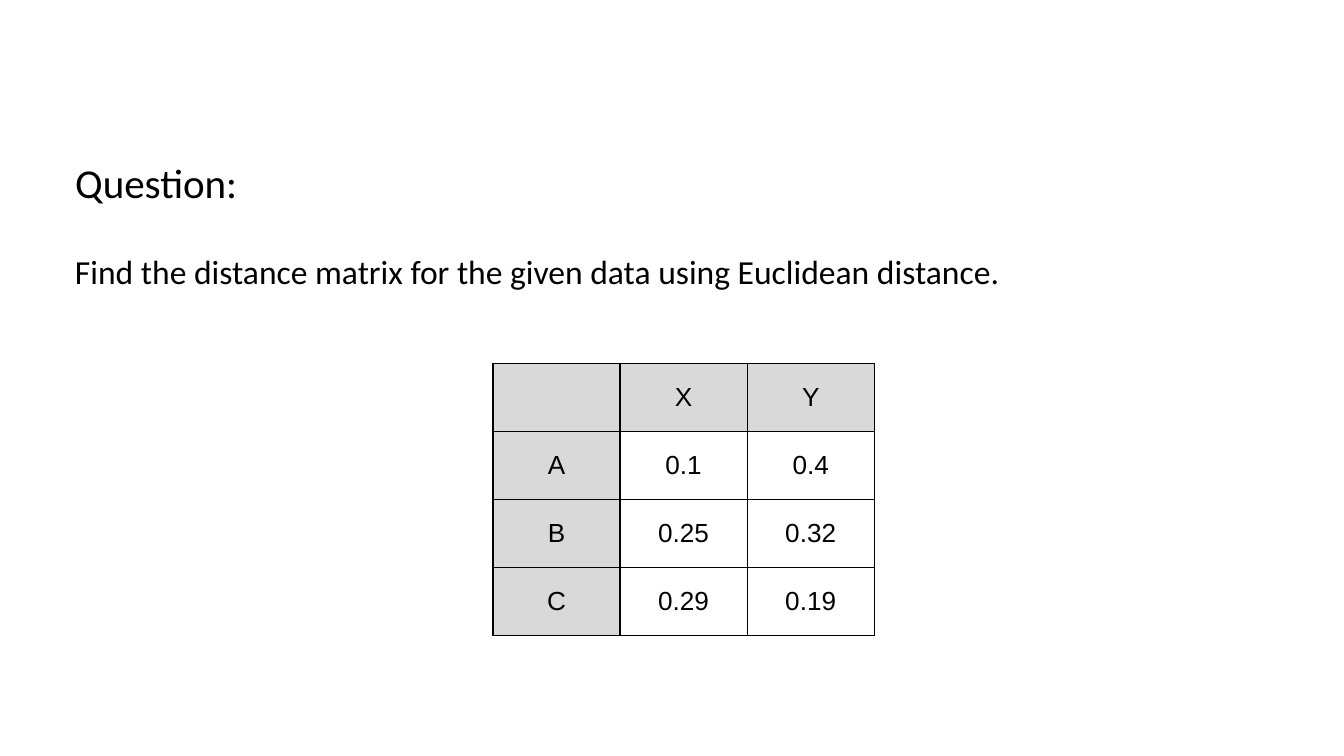
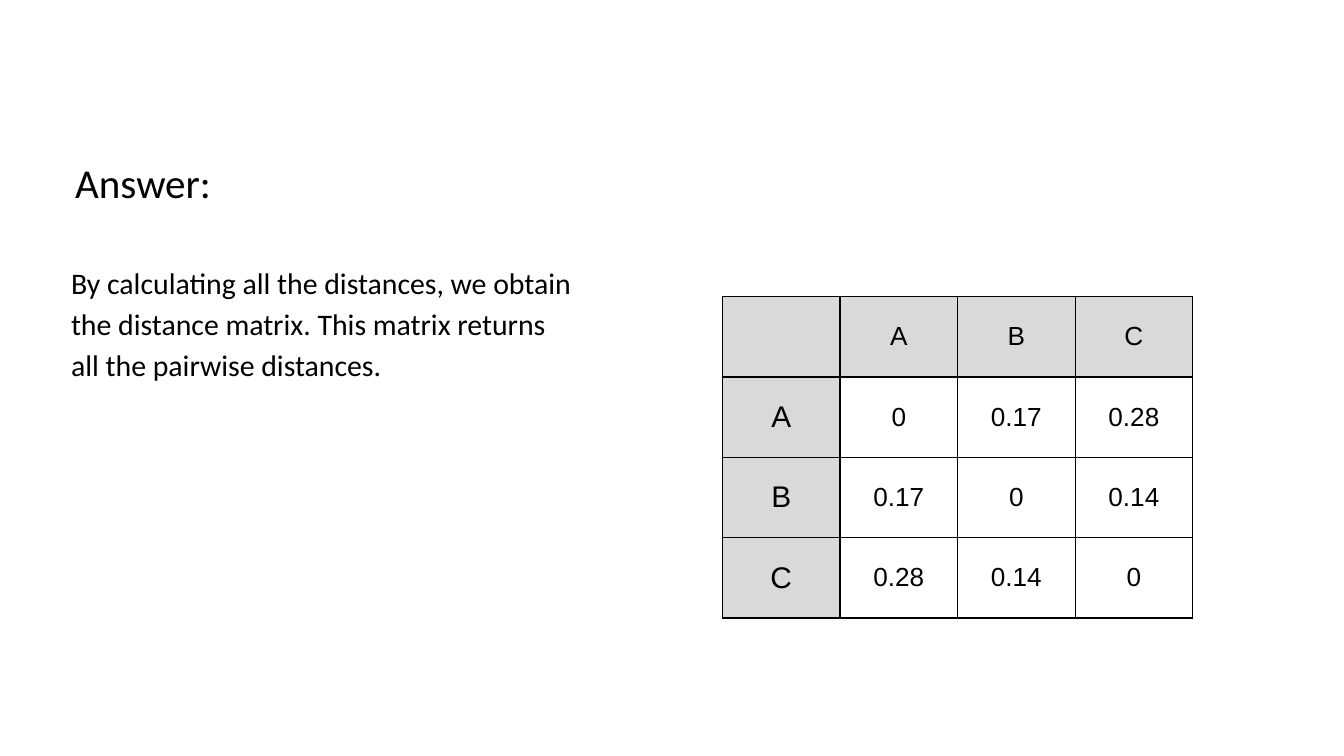
from dataclasses import dataclass

from lxml import etree
from pptx import Presentation
from pptx import util as u
from pptx.dml.color import RGBColor
from pptx.enum import text
from pptx.oxml.ns import qn

INK = {"text": "000000", "head": "D9D9D9", "line": "000000", "page": "FFFFFF"}
INSET = u.Pt(7.2)
HEAD_BOX = (33.1, 77, 420.5, 31)


@dataclass
class Body:
    words: str
    box: tuple[float, float, float, float]
    size: float
    after: float = 0


@dataclass
class Grid:
    left: float
    top: float
    col: float
    row: float
    side: float
    rows: list[list[str]]


@dataclass
class Page:
    head: str
    body: Body
    grid: Grid


PAGES = [
    Page(
        "Question:",
        Body("Find the distance matrix for the given data using Euclidean distance.",
             (33.1, 123.8, 635.8, 31.7), 18, 16),
        Grid(264.1, 194.6, 68.1, 36.45, 14, [
            ["", "X", "Y"],
            ["A", "0.1", "0.4"],
            ["B", "0.25", "0.32"],
            ["C", "0.29", "0.19"],
        ]),
    ),
    Page(
        "Answer:",
        Body("By calculating all the distances, we obtain the distance matrix. "
             "This matrix returns all the pairwise distances.",
             (31, 131.8, 283.7, 103), 16),
        Grid(387, 158.9, 63, 43.05, 16, [
            ["", "A", "B", "C"],
            ["A", "0", "0.17", "0.28"],
            ["B", "0.17", "0", "0.14"],
            ["C", "0.28", "0.14", "0"],
        ]),
    ),
]


def tint(name: str) -> RGBColor:
    return RGBColor.from_string(INK[name])


def pad(item) -> None:
    item.margin_left = item.margin_right = INSET
    item.margin_top = item.margin_bottom = INSET


def write(para, words: str, size: float, face: str) -> None:
    run = para.add_run()
    run.text = words
    run.font.size = u.Pt(size)
    run.font.name = face
    run.font.color.rgb = tint("text")


def fill_box(shape, words: str, size: float):
    frame = shape.text_frame
    pad(frame)
    frame.word_wrap = True
    frame.auto_size = text.MSO_AUTO_SIZE.NONE
    frame.vertical_anchor = text.MSO_ANCHOR.TOP
    para = frame.paragraphs[0]
    para.alignment = text.PP_ALIGN.LEFT
    para.space_before = u.Pt(0)
    write(para, words, size, "Calibri")
    return para


def add_head(slide, words: str) -> None:
    head = slide.shapes.title
    head.left, head.top, head.width, head.height = map(u.Pt, HEAD_BOX)
    fill_box(head, words, 22).line_spacing = 1.0


def add_body(slide, body: Body) -> None:
    para = fill_box(slide.shapes.add_textbox(*map(u.Pt, body.box)), body.words, body.size)
    para.line_spacing = 1.15
    para.space_after = u.Pt(body.after)


def add_lines(cell) -> None:
    props = cell._tc.get_or_add_tcPr()
    for spot, side in enumerate(("lnL", "lnR", "lnT", "lnB")):
        line = etree.Element(qn(f"a:{side}"), w=str(u.Pt(0.75)))
        fill = etree.SubElement(line, qn("a:solidFill"))
        etree.SubElement(fill, qn("a:srgbClr"), val=INK["line"])
        props.insert(spot, line)


def add_grid(slide, grid: Grid) -> None:
    rows, cols = len(grid.rows), len(grid.rows[0])
    table = slide.shapes.add_table(
        rows, cols, u.Pt(grid.left), u.Pt(grid.top),
        u.Pt(grid.col * cols), u.Pt(grid.row * rows)).table
    table.first_row = table.horz_banding = False
    for col in table.columns:
        col.width = u.Pt(grid.col)
    for r, line in enumerate(grid.rows):
        table.rows[r].height = u.Pt(grid.row)
        for c, words in enumerate(line):
            cell = table.cell(r, c)
            if r == 0 or c == 0:
                cell.fill.solid()
                cell.fill.fore_color.rgb = tint("head")
            else:
                cell.fill.background()
            add_lines(cell)
            if words:
                pad(cell)
                cell.vertical_anchor = text.MSO_ANCHOR.MIDDLE
                para = cell.text_frame.paragraphs[0]
                para.alignment = text.PP_ALIGN.CENTER
                write(para, words, grid.side if c == 0 else 14, "Arial")


def main() -> None:
    deck = Presentation()
    deck.slide_width, deck.slide_height = u.Pt(720), u.Pt(405)
    back = deck.slide_master.background.fill
    back.solid()
    back.fore_color.rgb = tint("page")
    for page in PAGES:
        slide = deck.slides.add_slide(deck.slide_layouts[5])
        add_head(slide, page.head)
        add_body(slide, page.body)
        add_grid(slide, page.grid)
    deck.save("out.pptx")


if __name__ == "__main__":
    main()
